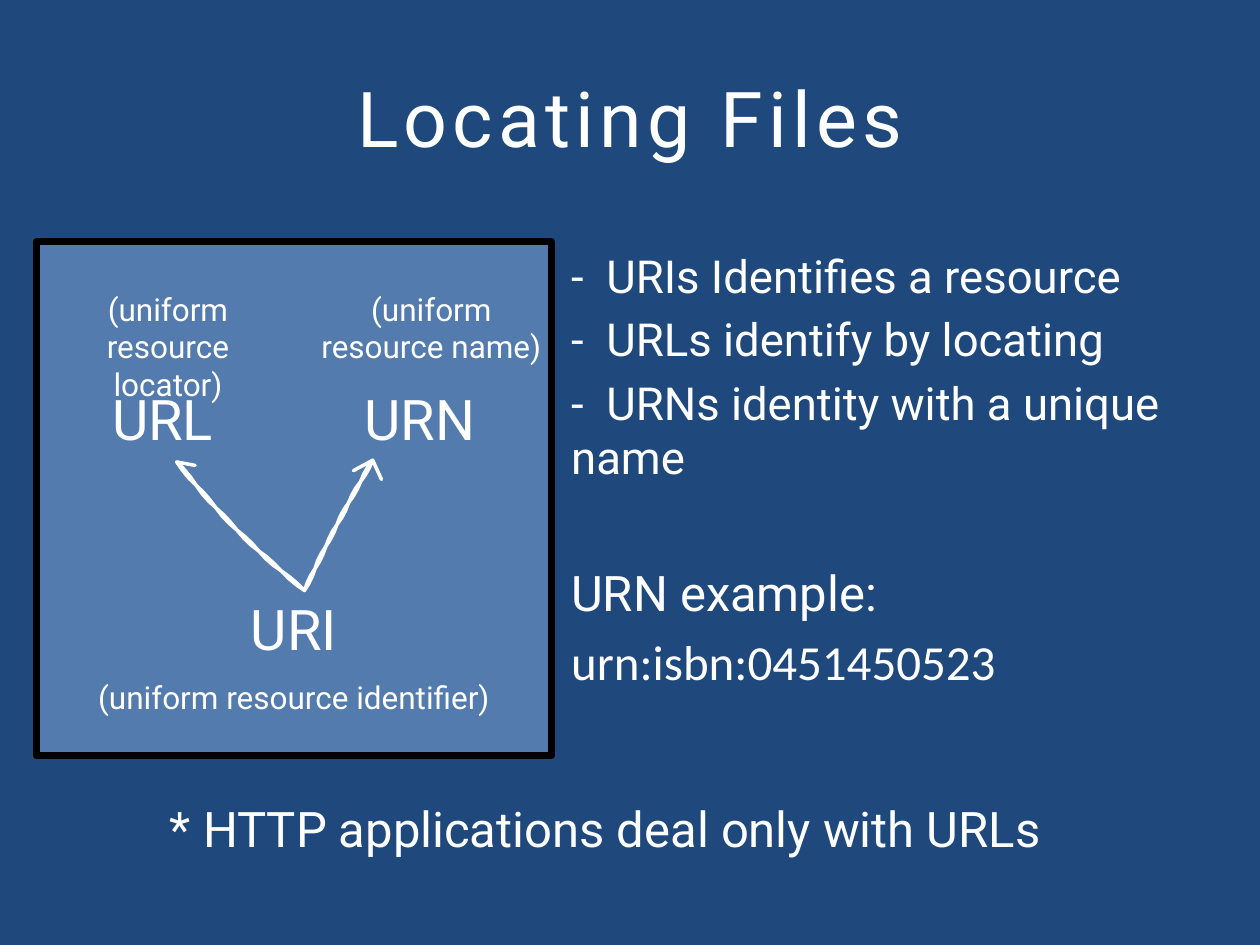
"""Build the slide on locating files with URIs, URLs and URNs."""
import math

from lxml import etree
from pptx import Presentation
from pptx import util as u
from pptx.dml.color import RGBColor
from pptx.enum import shapes, text
from pptx.oxml.ns import qn

HUES = {"back": "1F497D", "panel": "8EB4E3", "edge": "000000",
        "ink": "FFFFFF", "arrow": "4F81BD"}
LEFT, MID = text.PP_ALIGN.LEFT, text.PP_ALIGN.CENTER
TITLE, NAME, LARGE, BODY, SMALL = 44, 32, 28, 26, 18


def stroke(start, end, bow, wave, steps=18):
    """Return the points of a bowed, slightly wavy line."""
    wide, high = end[0] - start[0], end[1] - start[1]
    span = math.hypot(wide, high)
    dots = []
    for step in range(steps + 1):
        part = step / steps
        push = bow * math.sin(math.pi * part) + wave * math.sin(6 * math.pi * part)
        dots.append((start[0] + wide * part - high / span * push,
                     start[1] + high * part + wide / span * push))
    return dots


def arrow(tail, tip, barbs, bow, wave=0.6):
    """Return the points of a hand-drawn arrow, out to the tip and back."""
    head = [dot for barb in barbs for dot in (barb, tip)]
    back = stroke(tail, tip, bow, -wave)[::-1]
    return stroke(tail, tip, bow, wave) + head + back


class Deck:
    """Hold the style and the current slide."""

    def __init__(self, wide, high):
        self.face = "Roboto"
        self.show = Presentation()
        self.show.slide_width, self.show.slide_height = u.Pt(wide), u.Pt(high)
        self.page = self.show.slides.add_slide(self.show.slide_layouts[6])
        self.tint(self.page.background.fill, "back")

    def tint(self, fill, hue):
        fill.solid()
        fill.fore_color.rgb = RGBColor.from_string(HUES[hue])

    def dress(self, shape, hue, edge, width):
        shape.shadow.inherit = False
        self.tint(shape.fill, hue)
        self.tint(shape.line.fill, edge)
        shape.line.width = u.Pt(width)

    def panel(self, box, alpha):
        shape = self.page.shapes.add_shape(
            shapes.MSO_SHAPE.ROUNDED_RECTANGLE, *map(u.Pt, box))
        shape.adjustments[0] = 0
        self.dress(shape, "panel", "edge", 4)
        color = shape.fill._xPr.find(qn("a:solidFill"))[0]
        etree.SubElement(color, qn("a:alpha")).set("val", str(alpha * 1000))

    def sketch(self, dots, grain=10):
        first, *rest = [(x * grain, y * grain) for x, y in dots]
        pen = self.page.shapes.build_freeform(*first, scale=u.Pt(1 / grain))
        pen.add_line_segments(rest, close=True)
        self.dress(pen.convert_to_shape(), "arrow", "ink", 2)

    def words(self, box, lines, size, align=MID, mid=False, track=0):
        frame = self.page.shapes.add_textbox(*map(u.Pt, box)).text_frame
        frame.word_wrap = True
        if mid:
            frame.vertical_anchor = text.MSO_ANCHOR.MIDDLE
        for i, line in enumerate(lines):
            look = {"size": size, "face": self.face, **line}
            para = frame.add_paragraph() if i else frame.paragraphs[0]
            para.alignment = align
            if i:
                para.space_before = u.Pt(look.get("gap", look["size"] / 5))
            run = para.add_run()
            run.text = look["say"]
            run.font.size = u.Pt(look["size"])
            run.font.name = look["face"]
            self.tint(run.font.fill, "ink")
            if track:
                run.font._element.set("spc", str(track * 100))


def main():
    deck = Deck(720, 540)
    left, top, side = 21, 138, 294
    deck.panel((left, top, side, side), 47)
    deck.words((36, 21.6, 648, 90), [{"say": "Locating Files"}], TITLE,
               mid=True, track=3)

    for name, size, x, y, wide in (
            ("URI", NAME, left, 336, side),
            ("URN", NAME, 165, 216, 150),
            ("URL", NAME, left, 216, 144),
            ("(uniform resource identifier)", SMALL, left, 384, side),
            ("(uniform resource locator)", SMALL, left, 162, 150),
            ("(uniform resource name)", SMALL, 169, 162, 155)):
        deck.words((x, y, wide, 42), [{"say": name}], size)

    tail = (174, 337.5)
    to_urn = arrow(tail, (213, 263), [(202, 269), (218, 274)], bow=-1)
    to_url = arrow(tail, (101, 264), [(111.5, 266)], bow=-3)
    deck.sketch(to_urn + to_url)

    deck.words((left + side + 4.3, top, 394.5, side), [
        {"say": "-  URIs Identifies a resource"},
        {"say": "-  URLs identify by locating"},
        {"say": "-  URNs identity with a unique name"},
        {"say": "URN example:", "size": LARGE, "gap": 45},
        {"say": "urn:isbn:0451450523", "size": LARGE, "face": "Calibri"},
    ], BODY, LEFT)
    deck.words((90, 453, 563, 87),
               [{"say": "* HTTP applications deal only with URLs"}], LARGE, LEFT)
    deck.show.save("out.pptx")


if __name__ == "__main__":
    main()
